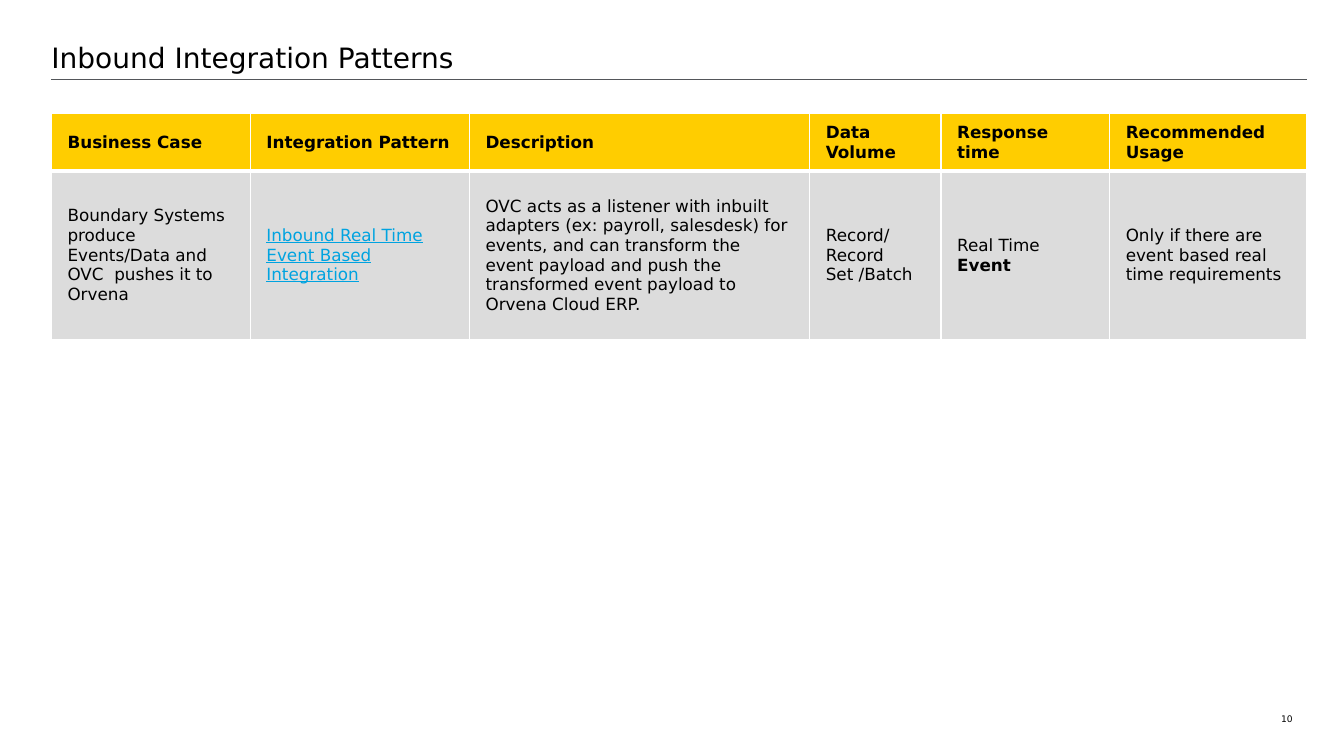
from lxml import etree
from pptx import Presentation
from pptx.dml.color import RGBColor
from pptx.enum.shapes import MSO_CONNECTOR
from pptx.enum.text import MSO_ANCHOR, PP_ALIGN
from pptx.oxml.ns import qn
from pptx.util import Inches, Pt

STRAIGHT = MSO_CONNECTOR.STRAIGHT
MIDDLE = MSO_ANCHOR.MIDDLE
LEFT, RIGHT = PP_ALIGN.LEFT, PP_ALIGN.RIGHT

WIDE, HIGH = Inches(13.33), Inches(7.5)
EDGE, SPAN = 0.51 / 13.33, 12.45 / 13.33
FACE = "DejaVu Sans"
HUES = {"ink": "000000", "rule": "53565A", "head": "FFCD00",
        "body": "DCDCDC", "link": "00A3E0", "edge": "FFFFFF"}

# Relative widths of columns and heights of rows
COLS = [1.97, 2.17, 3.37, 1.3, 1.67, 1.95]
ROWS = [0.57, 1.67]

HEADS = ["Business Case", "Integration Pattern", "Description",
         "Data Volume", "Response time", "Recommended Usage"]
BOLD = {"bold": True}
LINK = {"hue": "link", "underline": True}
# Each cell is a list of paragraphs: text and format
CASE = [
    [("Boundary Systems produce Events/Data and OVC  pushes it to Orvena", {})],
    [("Inbound Real Time Event Based Integration", LINK)],
    [("OVC acts as a listener with inbuilt adapters (ex: payroll, salesdesk) "
      "for events, and can transform the event payload and push the "
      "transformed event payload to Orvena Cloud ERP.", {})],
    [("Record/Record Set /Batch", {})],
    [("Real Time", {}), ("Event", BOLD)],
    [("Only if there are event based real time requirements", {})],
]


def color(name):
    return RGBColor.from_string(HUES[name])


def place(left, top, width, height):
    """Turn shares of the slide into lengths."""
    return (round(left * WIDE), round(top * HIGH),
            round(width * WIDE), round(height * HIGH))


def write(frame, paras, size, align=LEFT):
    frame.word_wrap = True
    for i, (text, look) in enumerate(paras):
        para = frame.add_paragraph() if i else frame.paragraphs[0]
        para.alignment = align
        run = para.add_run()
        run.text = text
        style = {"name": FACE, "size": Pt(size), "bold": False, **look}
        run.font.color.rgb = color(style.pop("hue", "ink"))
        for key, value in style.items():
            setattr(run.font, key, value)


def trim(frame):
    for side in ("left", "top", "right", "bottom"):
        setattr(frame, f"margin_{side}", 0)


def add_title(slide, text):
    title = slide.shapes.title
    title.left, title.top, title.width, title.height = place(
        EDGE, 0.38 / 7.5, 12.31 / 13.33, 0.37 / 7.5)
    trim(title.text_frame)
    title.text_frame.vertical_anchor = MIDDLE
    write(title.text_frame, [(text, {})], 20)


def add_rule(slide, top):
    left, y, width, _ = place(EDGE, top, SPAN, 0)
    rule = slide.shapes.add_connector(STRAIGHT, left, y, left + width, y)
    rule.line.color.rgb = color("rule")
    rule.line.width = Pt(0.75)
    etree.SubElement(rule._element.spPr, qn("a:effectLst"))


def add_edges(cell, top, bottom):
    props = cell._tc.get_or_add_tcPr()
    for side, width in (("L", 1), ("R", 1), ("T", top), ("B", bottom)):
        line = etree.SubElement(props, qn(f"a:ln{side}"), w=str(Pt(width)))
        fill = etree.SubElement(line, qn("a:solidFill"))
        etree.SubElement(fill, qn("a:srgbClr"), val=HUES["edge"])


def fill_cell(cell, paras, hue, top, bottom):
    add_edges(cell, top, bottom)
    cell.fill.solid()
    cell.fill.fore_color.rgb = color(hue)
    look = {"vertical_anchor": MIDDLE,
            "margin_left": Inches(0.16), "margin_right": Inches(0.16),
            "margin_top": Inches(0.08), "margin_bottom": Inches(0.08)}
    for key, value in look.items():
        setattr(cell, key, value)
    write(cell.text_frame, paras, 12)


def add_grid(slide):
    box = place(EDGE, 1.13 / 7.5, SPAN, sum(ROWS) / 7.5)
    table = slide.shapes.add_table(len(ROWS), len(COLS), *box).table
    table.horz_banding = False
    for col, part in zip(table.columns, COLS):
        col.width = round(box[2] * part / sum(COLS))
    for row, part in zip(table.rows, ROWS):
        row.height = round(box[3] * part / sum(ROWS))
    for i, (head, paras) in enumerate(zip(HEADS, CASE)):
        fill_cell(table.cell(0, i), [(head, BOLD)], "head", 1, 3)
        fill_cell(table.cell(1, i), paras, "body", 3, 1)


def add_number(slide, text):
    box = slide.shapes.add_textbox(
        *place(12.48 / 13.33, 7.08 / 7.5, 0.34 / 13.33, 0.11 / 7.5))
    trim(box.text_frame)
    write(box.text_frame, [(text, {})], 6.5, RIGHT)


def main():
    deck = Presentation()
    deck.slide_width, deck.slide_height = WIDE, HIGH
    slide = deck.slides.add_slide(deck.slide_layouts[5])
    # Heading
    add_title(slide, "Inbound Integration Patterns")
    add_rule(slide, 0.79 / 7.5)
    # Pattern table
    add_grid(slide)
    # Page number
    add_number(slide, "10")
    deck.save("out.pptx")


if __name__ == "__main__":
    main()
